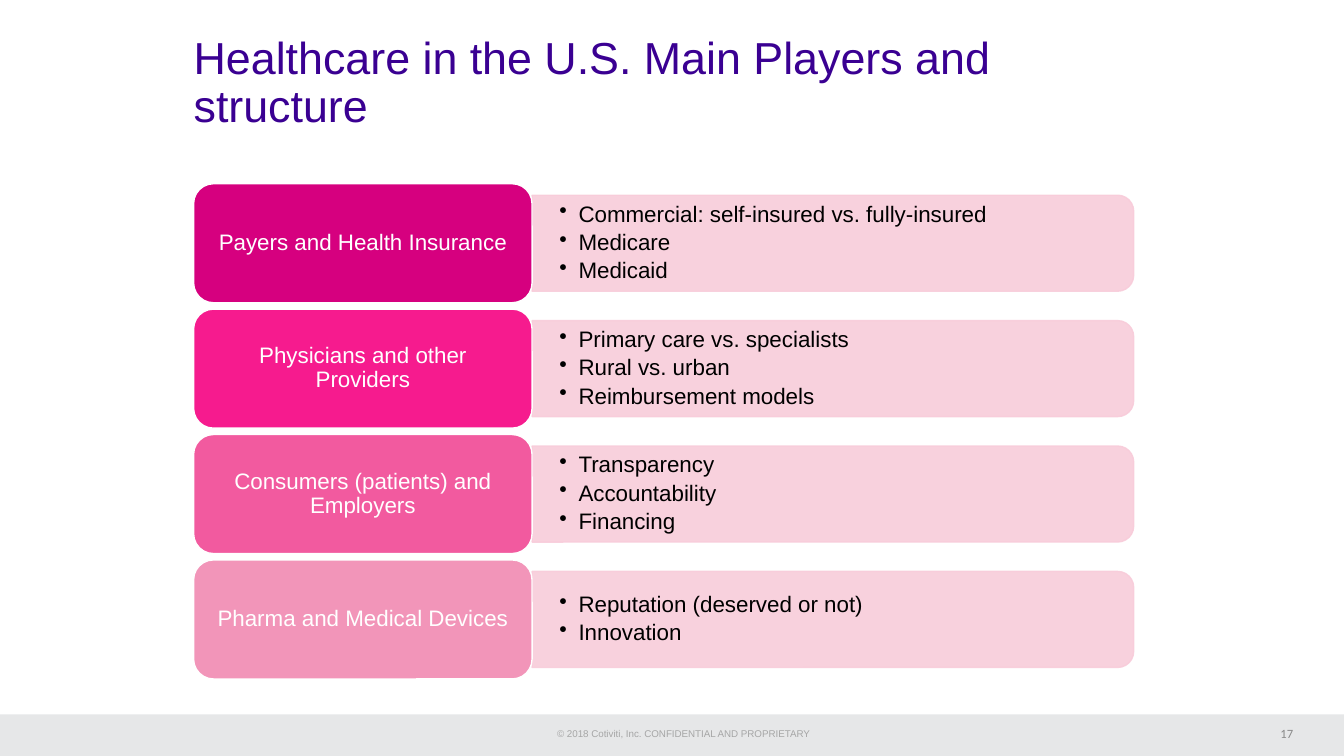
import pptx
import pptx.util
import pptx.dml.color
import pptx.enum.shapes
import pptx.enum.text
import pptx.oxml
import pptx.oxml.ns
import lxml.etree

Cm = pptx.util.Cm
Pt = pptx.util.Pt
SHAPES = pptx.enum.shapes.MSO_SHAPE
ALIGN = pptx.enum.text.PP_ALIGN
ANCHOR = pptx.enum.text.MSO_ANCHOR
DRAWING = pptx.oxml.ns.nsdecls("a")

PLAYERS = [
    ("Payers and Health Insurance", "D6007F",
     ["Commercial: self-insured vs. fully-insured", "Medicare", "Medicaid"]),
    ("Physicians and other Providers", "F61B8E",
     ["Primary care vs. specialists", "Rural vs. urban", "Reimbursement models"]),
    ("Consumers (patients) and Employers", "F25A9F",
     ["Transparency", "Accountability", "Financing"]),
    ("Pharma and Medical Devices", "F295B9",
     ["Reputation (deserved or not)", "Innovation"]),
]


def add_panel(preset, box, fill, line=None, alpha=None):
    """Add a filled shape; alpha is the opacity of fill and line in percent."""
    shape = slide.shapes.add_shape(preset, *map(Cm, box))
    shape.shadow.inherit = False
    for target, color in ((shape.fill, fill), (shape.line.fill, line)):
        if color is None:
            target.background()
            continue
        target.solid()
        target.fore_color.rgb = pptx.dml.color.RGBColor.from_string(color)
    if line:
        shape.line.width = Pt(1)
    if alpha:
        for color in shape.element.spPr.iter(pptx.oxml.ns.qn("a:srgbClr")):
            color.append(pptx.oxml.parse_xml(f'<a:alpha {DRAWING} val="{alpha * 1000}"/>'))
    return shape


def write(shape, lines, size, color, align=ALIGN.LEFT, insets=(0, 0), font="Arial",
          spacing=1.0, after=0, anchor=ANCHOR.MIDDLE, bullets=False):
    """Fill a shape with paragraphs; insets are (horizontal, vertical) in cm."""
    frame = shape.text_frame
    side, edge = map(Cm, insets)
    frame_format = {"word_wrap": True, "vertical_anchor": anchor, "margin_left": side,
                    "margin_right": side, "margin_top": edge, "margin_bottom": edge}
    for name, value in frame_format.items():
        setattr(frame, name, value)
    for index, line in enumerate(lines):
        paragraph = frame.add_paragraph() if index else frame.paragraphs[0]
        paragraph_format = {"alignment": align, "line_spacing": spacing, "space_after": Pt(after)}
        for name, value in paragraph_format.items():
            setattr(paragraph, name, value)
        if bullets:
            properties = paragraph._p.get_or_add_pPr()
            properties.set("marL", str(Cm(0.48)))
            properties.set("indent", str(-Cm(0.48)))
            properties.append(pptx.oxml.parse_xml(f'<a:buChar {DRAWING} char="•"/>'))
        run = paragraph.add_run()
        run.text = line
        for name, value in {"name": font, "size": Pt(size)}.items():
            setattr(run.font, name, value)
        run.font.color.rgb = pptx.dml.color.RGBColor.from_string(color)


presentation = pptx.Presentation()
presentation.slide_width = Cm(33.87)
presentation.slide_height = Cm(19.05)
slide = presentation.slides.add_slide(presentation.slide_layouts[6])

# Footer band
add_panel(SHAPES.RECTANGLE, (0, 18, 33.87, 1.05), "E6E7E8")
copyright_box = slide.shapes.add_textbox(Cm(12.5), Cm(18.21), Cm(9.45), Cm(0.56))
write(copyright_box, ["© 2018 Cotiviti, Inc. CONFIDENTIAL AND PROPRIETARY"], 7, "A6A6A6",
      align=ALIGN.CENTER, insets=(0.25, 0.13), anchor=ANCHOR.TOP)
number_box = slide.shapes.add_textbox(Cm(31.24), Cm(18.11), Cm(1.35), Cm(0.76))
write(number_box, ["17"], 9, "898989", align=ALIGN.RIGHT, font="Calibri")

title_box = slide.shapes.add_textbox(Cm(4.88), Cm(0.84), Cm(24.13), Cm(2.54))
write(title_box, ["Healthcare in the U.S. Main Players and structure"], 32, "3A0092", spacing=0.9)

# One row per player: a label block and a detail panel to its right
LEFT, TOP, PITCH = 4.88, 4.63, 3.16
LABEL_WIDTH, LABEL_HEIGHT = 8.53, 3.0
DETAIL_WIDTH, DETAIL_HEIGHT = 15.16, 2.42
detail_left = LEFT + LABEL_WIDTH

for row, (player, color, details) in enumerate(PLAYERS):
    label_top = TOP + row * PITCH
    middle = label_top + LABEL_HEIGHT / 2
    # The panel stands upright and is turned so that its round corners face right
    panel_box = (detail_left + (DETAIL_WIDTH - DETAIL_HEIGHT) / 2, middle - DETAIL_WIDTH / 2,
                 DETAIL_HEIGHT, DETAIL_WIDTH)
    panel = add_panel(SHAPES.ROUND_2_SAME_RECTANGLE, panel_box, "F8CCDA", "F8CCDA", alpha=90)
    panel.rotation = 90
    detail_box = slide.shapes.add_textbox(Cm(detail_left), Cm(middle - 1.08), Cm(15.06), Cm(2.16))
    write(detail_box, details, 16, "000000", insets=(0.69, 0.36), spacing=0.9, after=3, bullets=True)
    label = add_panel(SHAPES.ROUNDED_RECTANGLE, (LEFT, label_top, LABEL_WIDTH, LABEL_HEIGHT),
                      color, "FFFFFF")
    write(label, [player], 16, "FFFFFF", align=ALIGN.CENTER, insets=(0.3, 0.2), spacing=0.9)

presentation.save("out.pptx")
